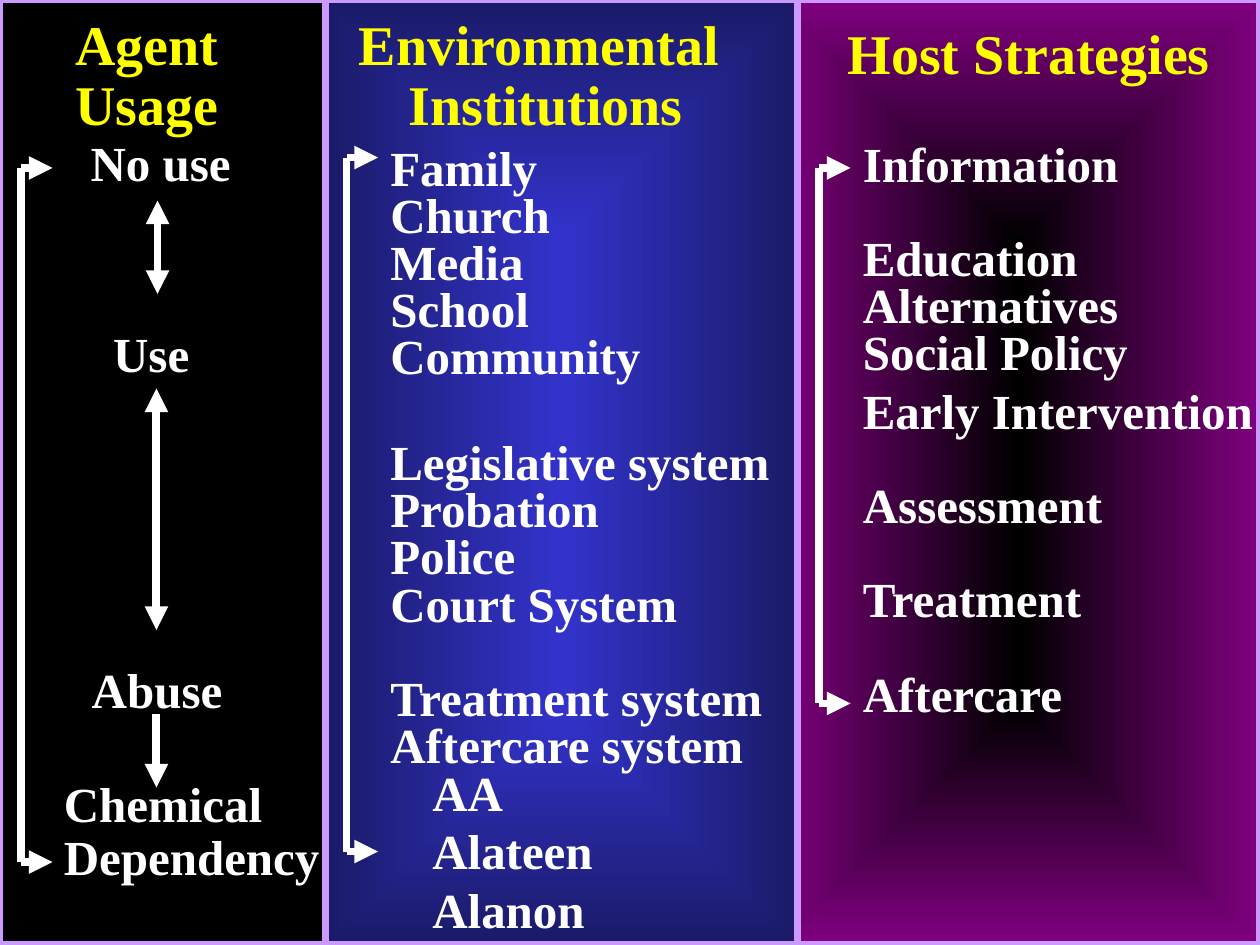
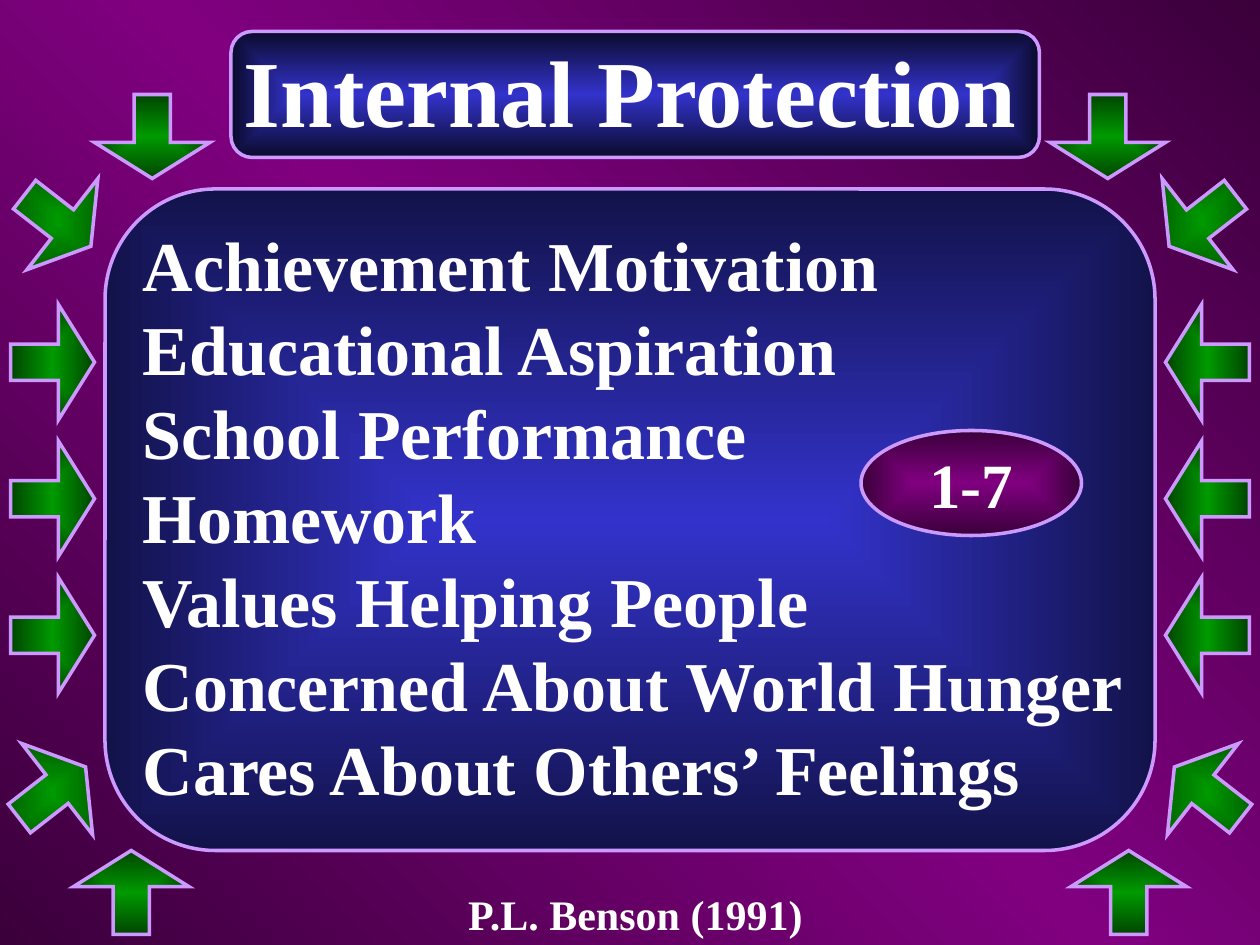
import pptx
import pptx.util
import pptx.dml.color
import pptx.enum.shapes
import pptx.enum.text
import pptx.oxml
import pptx.oxml.ns

KIND = pptx.enum.shapes.MSO_SHAPE
ALIGN = pptx.enum.text.PP_ALIGN
FONT = "Times New Roman"
COLS, ROWS = 120, 90
WIDE, HIGH = pptx.util.Inches(10), pptx.util.Inches(7.5)
INK = {
    "white": "FFFFFF", "gold": "FFFF00", "black": "000000", "edge": "CC99FF",
    "blue": "3333CC", "navy": "1A1A68", "deep": "12124A", "night": "0A0A2B",
    "dusk": "151556", "plum": "800080", "wine": "3B003B",
    "green": "009900", "moss": "004600",
}
CORE = '<a:path path="rect"><a:fillToRect l="50000" t="50000" r="50000" b="50000"/></a:path>'


def tint(name):
    return pptx.dml.color.RGBColor.from_string(INK[name])


def place(col, row, wide, high):
    return [round(n) for n in (col * WIDE / COLS, row * HIGH / ROWS,
                               wide * WIDE / COLS, high * HIGH / ROWS)]


def node(tag, rest=""):
    return pptx.oxml.parse_xml(f'<a:{tag} {pptx.oxml.ns.nsdecls("a")} {rest}/>')


def blend(names, way):
    step = 100000 // (len(names) - 1)
    stops = "".join(f'<a:gs pos="{i * step}"><a:srgbClr val="{INK[n]}"/></a:gs>'
                    for i, n in enumerate(names))
    return pptx.oxml.parse_xml(
        f'<a:gradFill {pptx.oxml.ns.nsdecls("a")} rotWithShape="1">'
        f'<a:gsLst>{stops}</a:gsLst>{way}</a:gradFill>')


def swap(fill, names, way):
    fill.getparent().replace(fill, blend(names, way))


def add_page(deck, names, angle):
    page = deck.slides.add_slide(deck.slide_layouts[6])
    page.background.fill.solid()
    back = page.element.find(".//" + pptx.oxml.ns.qn("p:bgPr"))
    swap(back[0], names, f'<a:lin ang="{angle * 60000}" scaled="0"/>')
    return page


def add_form(page, kind, spot, names, edge=2, bends=(), turn=0):
    form = page.shapes.add_shape(kind, *place(*spot))
    form.shadow.inherit = False
    form.fill.solid()
    form.fill.fore_color.rgb = tint(names[0])
    if len(names) > 1:
        solid = form.element.spPr.find(pptx.oxml.ns.qn("a:solidFill"))
        swap(solid, names, CORE)
    form.line.color.rgb = tint("edge")
    form.line.width = pptx.util.Pt(edge)
    form.line._get_or_add_ln().append(node("miter", 'lim="800000"'))
    for i, bend in enumerate(bends):
        form.adjustments[i] = bend
    form.rotation = turn % 360
    return form


def write(frame, lines, size, color="white", align=ALIGN.LEFT, space=1):
    for i, line in enumerate(lines):
        text, gap, lead = line if isinstance(line, tuple) else (line, 0, space)
        para = frame.paragraphs[0] if i == 0 else frame.add_paragraph()
        para.alignment = align
        para.line_spacing = lead
        para.space_before = pptx.util.Pt(gap)
        run = para.add_run()
        run.text = text
        run.font.name = FONT
        run.font.size = pptx.util.Pt(size)
        run.font.bold = True
        run.font.color.rgb = tint(color)


def add_text(page, spot, lines, size=28, **style):
    frame = page.shapes.add_textbox(*place(*spot)).text_frame
    frame.word_wrap = True
    write(frame, lines, size, **style)


def add_line(page, start, end, tips=()):
    x1, y1, x2, y2 = place(*start, *end)
    line = page.shapes.add_connector(
        pptx.enum.shapes.MSO_CONNECTOR.STRAIGHT, x1, y1, x2, y2)
    line.line.color.rgb = tint("white")
    line.line.width = pptx.util.Pt(4.5)
    pen = line.line._get_or_add_ln()
    for tip in tips:
        pen.append(node(tip, 'type="triangle"'))
    line.element.spPr.append(node("effectLst"))


def add_hook(page, col, top, base):
    add_line(page, (col, top), (col, base))
    for row in (top, base):
        add_line(page, (col, row), (col + 3, row), ["tailEnd"])


def add_model(deck):
    page = add_page(deck, ["blue", "dusk", "blue"], 180)
    for col, wide, names in ((74, 46, ["black", "plum"]),
                             (31, 45, ["blue", "navy"]), (0, 31, ["black"])):
        add_form(page, KIND.RECTANGLE, (col, 0, wide, ROWS), names, 4)

    for spot, lines, space in (
            ((2, 1, 24, 12.7), ["Agent", "Usage"], 0.9),
            ((14, 1, 76, 12.7), ["Environmental ", "Institutions"], 0.9),
            ((38, 1.2, 120, 7.7), ["Host Strategies"], 1)):
        add_text(page, spot, lines, 32, color="gold", align=ALIGN.CENTER, space=space)

    for spot, word in (((-2.2, 12, 35, 6.8), "No use"),
                       ((-3.1, 30.2, 35, 6.8), "Use"),
                       ((-3.1, 62.2, 36.1, 6.8), "Abuse")):
        add_text(page, spot, [word], align=ALIGN.CENTER)
    add_text(page, (4.9, 73.7, 28, 11.3), ["Chemical", "Dependency"], space=0.9)

    gap = 26.9
    add_text(page, (36, 13.6, 43, 60.6), [
        "Family", "Church", "Media", "School", "Community",
        ("Legislative system", 33.6, 0.8), "Probation", "Police", "Court System",
        ("Treatment system", gap, 0.8), "Aftercare system"], space=0.8)
    add_text(page, (40, 72, 19, 18), ["AA", "Alateen", "Alanon"])
    add_text(page, (81, 13.2, 42, 60.6), [
        "Information", ("Education", gap, 0.8), "Alternatives", "Social Policy",
        ("Early Intervention", 0, 1), ("Assessment", gap, 0.8),
        ("Treatment", gap, 0.8), ("Aftercare", gap, 0.8)], space=0.8)

    both = ["headEnd", "tailEnd"]
    for col, top, base, tips in ((15, 19.1, 28, both), (14.9, 37, 60, both),
                                 (14.9, 68, 75, ["tailEnd"])):
        add_line(page, (col, top), (col, base), tips)
    for col, top, base in ((2, 16, 82.1), (33, 15, 81.1), (78, 16, 67)):
        add_hook(page, col, top, base)


def add_guard(deck):
    page = add_page(deck, ["wine", "plum", "wine"], 135)
    add_form(page, KIND.ROUNDED_RECTANGLE, (22, 3, 77, 12), ["blue", "night"], bends=[0.167])
    add_form(page, KIND.ROUNDED_RECTANGLE, (10, 18, 100, 63), ["blue", "deep"], bends=[0.167])
    add_text(page, (12.4, 20.5, 100, 65.3), [
        "Achievement Motivation", "Educational Aspiration", "School Performance",
        "Homework", "Values Helping People", "Concerned About World Hunger",
        "Cares About Others’ Feelings"], 40)
    add_text(page, (43.4, 84, 40, 6), ["P.L. Benson (1991)"], 24)
    add_text(page, (0, 2.6, COLS, 12), ["Internal Protection"], 54, align=ALIGN.CENTER)

    wide, high = 8, 11
    for col, row, turn in ((10.5, 7.5, 90), (1.5, 15.5, 37.9), (1, 29, 0), (1, 42, 0),
                           (1, 55, 0), (8.5, 79.5, -90), (1, 70, -37.9)):
        for left, aim in ((col, turn), (COLS - wide - col, 180 - turn)):
            add_form(page, KIND.RIGHT_ARROW, (left, row, wide, high),
                     ["green", "moss"], bends=[0.314, 0.43], turn=aim)

    badge = add_form(page, KIND.OVAL, (82, 41, 21, 10), ["plum", "wine"])
    badge.text_frame.word_wrap = False
    badge.text_frame.vertical_anchor = pptx.enum.text.MSO_ANCHOR.MIDDLE
    write(badge.text_frame, ["1-7"], 36, align=ALIGN.CENTER)


def main():
    deck = pptx.Presentation()
    deck.slide_width, deck.slide_height = WIDE, HIGH
    add_model(deck)
    add_guard(deck)
    deck.save("out.pptx")


if __name__ == "__main__":
    main()
